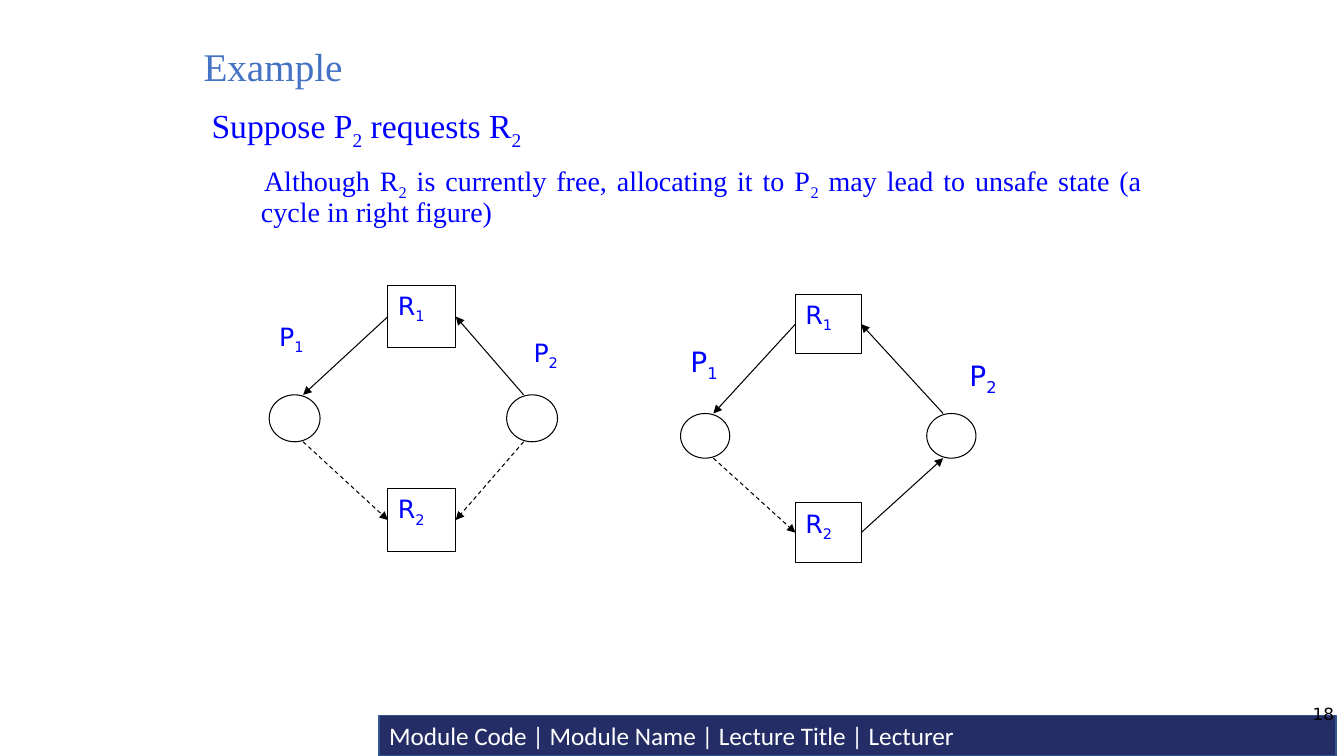
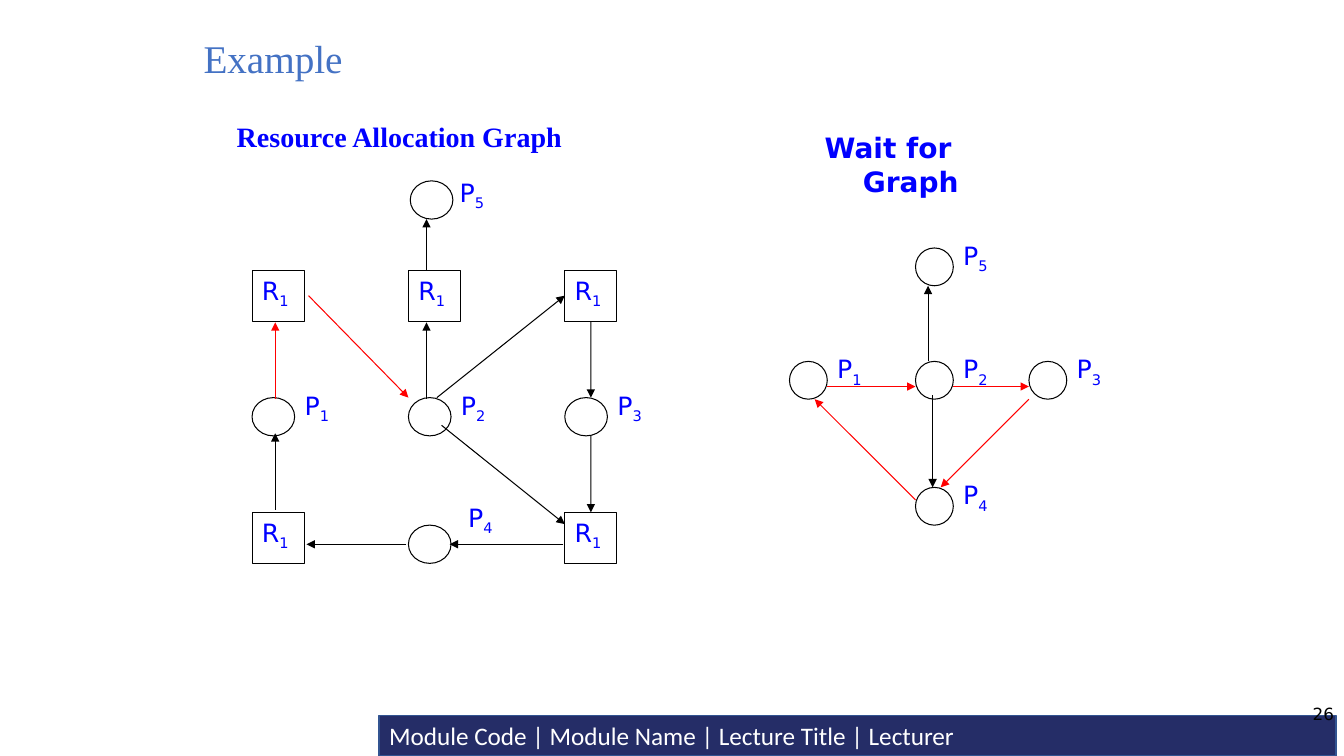
from dataclasses import dataclass

from lxml import etree
from pptx import Presentation
from pptx.dml.color import RGBColor
from pptx.enum.dml import MSO_LINE
from pptx.enum.shapes import MSO_CONNECTOR, MSO_SHAPE
from pptx.enum.text import MSO_ANCHOR, PP_ALIGN
from pptx.oxml.ns import qn
from pptx.util import Inches, Pt

RECT, OVAL = MSO_SHAPE.RECTANGLE, MSO_SHAPE.OVAL
STRAIGHT, DASH = MSO_CONNECTOR.STRAIGHT, MSO_LINE.DASH
TOP, MIDDLE = MSO_ANCHOR.TOP, MSO_ANCHOR.MIDDLE
LEFT, RIGHT, JUSTIFY = PP_ALIGN.LEFT, PP_ALIGN.RIGHT, PP_ALIGN.JUSTIFY
SIDE_TOP, SIDE_LEFT, SIDE_BOTTOM, SIDE_RIGHT = range(4)

COLORS = {
    "band": "252D67", "band_line": "325491", "title": "4472C4",
    "text": "0000FF", "white": "FFFFFF", "black": "000000", "red": "FF0000",
}
SERIF, SANS, FOOTER_FONT = "Times New Roman", "DejaVu Sans", "Calibri"
FOOTER = "Module Code | Module Name | Lecture Title | Lecturer"


def rgb(name):
    return RGBColor.from_string(COLORS[name])


# Text
def write(p, text, size, font=SANS, color="text", bold=False, align=LEFT):
    """Fill a paragraph; every second part between bars is a subscript."""
    p.alignment = align
    for i, part in enumerate(text.split("|") if color == "text" else [text]):
        if not part:
            continue
        r = p.add_run()
        r.text = part
        r.font.size, r.font.name, r.font.bold = Pt(size), font, bold
        r.font.color.rgb = rgb(color)
        if i % 2:
            r.font._element.set("baseline", "-25000")


def indent(p, margin, first):
    pPr = p._p.get_or_add_pPr()
    pPr.set("marL", str(Inches(margin)))
    pPr.set("indent", str(Inches(first)))


def add_text(s, left, top, width, height, anchor=TOP):
    box = s.shapes.add_textbox(Inches(left), Inches(top), Inches(width), Inches(height))
    tf = box.text_frame
    tf.word_wrap = True
    tf.vertical_anchor = anchor
    return tf


def add_shape(s, kind, left, top, width, height, fill="white", line="black", weight=0.75):
    sp = s.shapes.add_shape(kind, Inches(left), Inches(top), Inches(width), Inches(height))
    sp.shadow.inherit = False
    sp.fill.solid()
    sp.fill.fore_color.rgb = rgb(fill)
    sp.line.color.rgb = rgb(line)
    sp.line.width = Pt(weight)
    return sp


# Graph parts, placed in grid units from the graph's corner
@dataclass
class Graph:
    s: object
    left: float
    top: float
    u: float
    v: float

    def place(self, x, y):
        return self.left + x * self.u, self.top + y * self.v

    def circle(self, x, y):
        add_shape(self.s, OVAL, *self.place(x, y), 3 * self.u, 3 * self.v)

    def resource(self, x, y, text, width=4):
        sp = add_shape(self.s, RECT, *self.place(x, y), width * self.u, 4 * self.v)
        sp.text_frame.vertical_anchor = TOP
        write(sp.text_frame.paragraphs[0], text, 18)
        return sp

    def label(self, x, y, text, size=18):
        tf = add_text(self.s, *self.place(x, y), 0.56, 4 * self.v)
        write(tf.paragraphs[0], text, size)

    def arrow(self, start, end, color="black", dash=False):
        """Each end is a point (x, y) or a joint (shape, side)."""
        joints = [isinstance(e[0], (int, float)) for e in (start, end)]
        ends = [self.place(*e) if free else (0, 0)
                for e, free in zip((start, end), joints)]
        c = self.s.shapes.add_connector(
            STRAIGHT, *(Inches(n) for point in ends for n in point))
        if not joints[0]:
            c.begin_connect(*start)
        if not joints[1]:
            c.end_connect(*end)
        c.line.color.rgb = rgb(color)
        c.line.width = Pt(0.75)
        if dash:
            c.line.dash_style = DASH
        etree.SubElement(c.line._get_or_add_ln(), qn("a:tailEnd"), type="triangle")
        etree.SubElement(c._element.spPr, qn("a:effectLst"))


# Parts shared by the slides
def add_slide(prs, title_top, number):
    s = prs.slides.add_slide(prs.slide_layouts[6])
    band = add_shape(s, RECT, 3.76, 7.1, 9.49, 0.4, "band", "band_line", 1)
    band.text_frame.vertical_anchor = MIDDLE
    write(band.text_frame.paragraphs[0], FOOTER, 18, FOOTER_FONT, "white")
    title = add_text(s, 1.92, title_top, 9.42, 0.57, MIDDLE).paragraphs[0]
    title.line_spacing = 0.9
    write(title, "Example", 28, SERIF, "title")
    page = add_text(s, 12.33, 6.83, 1, 0.5, MIDDLE).paragraphs[0]
    write(page, number, 12, color="black", align=RIGHT)
    return s


# Claim graph: two processes between two resources
def claim_graph(s, left, top, width, height, col, row, label_x, size, assigned):
    g = Graph(s, left, top, width / (col + 3), height / (row + 10))
    g.circle(col, row)
    g.circle(0, row)
    r2 = g.resource(7, row + 6, "R|2")
    r1 = g.resource(7, 0, "R|1")
    g.label(label_x, row - 4, "P|2", size)
    g.label(0, row - 5, "P|1", size)
    p2_top, p2_bottom = (col + 1, row), (col + 1, row + 3)
    g.arrow((r1, SIDE_LEFT), (2, row))
    g.arrow((2, row + 3), (r2, SIDE_LEFT), dash=True)
    g.arrow(p2_top, (r1, SIDE_RIGHT))
    if assigned:
        g.arrow((r2, SIDE_RIGHT), p2_bottom)
    else:
        g.arrow(p2_bottom, (r2, SIDE_RIGHT), dash=True)


def request_slide(prs):
    s = add_slide(prs, 0.4, "18")
    tf = add_text(s, 2, 1, 9.42, 6)
    lines = [
        ("Suppose P|2| requests R|2", 24),
        ("Although R|2| is currently free, allocating it to P|2| may lead to "
         "unsafe state (a cycle in right figure)", 20),
    ]
    for i, (text, size) in enumerate(lines):
        p = tf.add_paragraph() if i else tf.paragraphs[0]
        p.line_spacing = 0.9
        p.space_before = p.space_after = Pt(6)
        write(p, text, size, SERIF, align=JUSTIFY)
    indent(p, 0.49, 0.03)
    claim_graph(s, 2.67, 2.83, 2.86, 2.64, 14, 7, 15, 18, False)
    claim_graph(s, 6.75, 2.92, 2.93, 2.66, 15, 8, 17, 20, True)


# Resource allocation graph
def allocation_graph(s, left, top):
    g = Graph(s, left, top, 0.141, 0.1265)
    corners = [(0, 0), (11, 0), (22, 0), (0, 19), (22, 19)]
    boxes = [g.resource(x, y, "R|1", 3.67) for x, y in corners]
    upper_right, lower_right = boxes[2], boxes[4]
    processes = [  # label, circle, label position
        ("P|5", (11.13, -7), (13.9, -7.7)),
        ("P|4", (11, 20), (14.5, 17.8)),
        ("P|3", (22, 10), (25, 9)),
        ("P|2", (11, 10), (14, 9)),
        ("P|1", (0, 10), (3, 9)),
    ]
    for text, circle, label in processes:
        g.label(*label, text)
        g.circle(*circle)
    x1, x2, x3, y4 = 1.63, 12.27, 23.83, 21.5
    arrows = [
        ((x1, 18.8), (x1, 12.8)),
        ((x2, 0), (x2, -4)),
        ((x2, 10.1), (x2, 4.1)),
        ((11.5 + 1.5, 10), (upper_right, SIDE_LEFT)),
        ((upper_right, SIDE_BOTTOM), (x3, 10)),
        ((x3, 13), (lower_right, SIDE_TOP)),
        ((21.9, y4), (13.9, y4)),
        ((10.85, y4), (3.83, y4)),
        ((13.33, 12.17), (22, 19.92)),
    ]
    for start, end in arrows:
        g.arrow(start, end)
    g.arrow((x1, 10.1), (x1, 4.1), "red")
    g.arrow((3.97, 2), (11, 10), "red")


# Wait-for graph
def wait_graph(s, left, top):
    g = Graph(s, left, top, 0.125, 0.125)
    processes = [("P|5", 10, 0), ("P|2", 10, 9), ("P|4", 10, 19),
                 ("P|1", 0, 9), ("P|3", 19, 9)]
    for text, x, y in processes:
        g.label(x + 3, y - 1, text)
        g.circle(x, y)
    g.arrow((11, 9), (11, 3))
    g.arrow((11.36, 11.7), (11.36, 19))
    for start, end in [((3, 11), (10, 11)), ((13, 11), (19, 11)),
                       ((19, 12), (12, 19)), ((10, 20), (2, 12))]:
        g.arrow(start, end, "red")


def graphs_slide(prs):
    s = add_slide(prs, 0.32, "26")
    p = add_text(s, 2.25, 1.17, 4, 0.42).paragraphs[0]
    p.line_spacing, p.space_before = 0.9, Pt(10)
    indent(p, 0.25, -0.25)
    write(p, "Resource Allocation Graph", 20, SERIF, bold=True)
    allocation_graph(s, 2.5, 2.68)
    tf = add_text(s, 8.08, 1.25, 2.5, 0.42)
    tf.margin_right = Inches(0.3)
    p = tf.paragraphs[0]
    p.space_before = Pt(4)
    indent(p, 0.38, -0.38)
    write(p, "Wait for Graph", 20, bold=True)
    wait_graph(s, 7.83, 2.46)


def main():
    prs = Presentation()
    prs.slide_width, prs.slide_height = Inches(13.33), Inches(7.5)
    request_slide(prs)
    graphs_slide(prs)
    prs.save("out.pptx")


if __name__ == "__main__":
    main()
